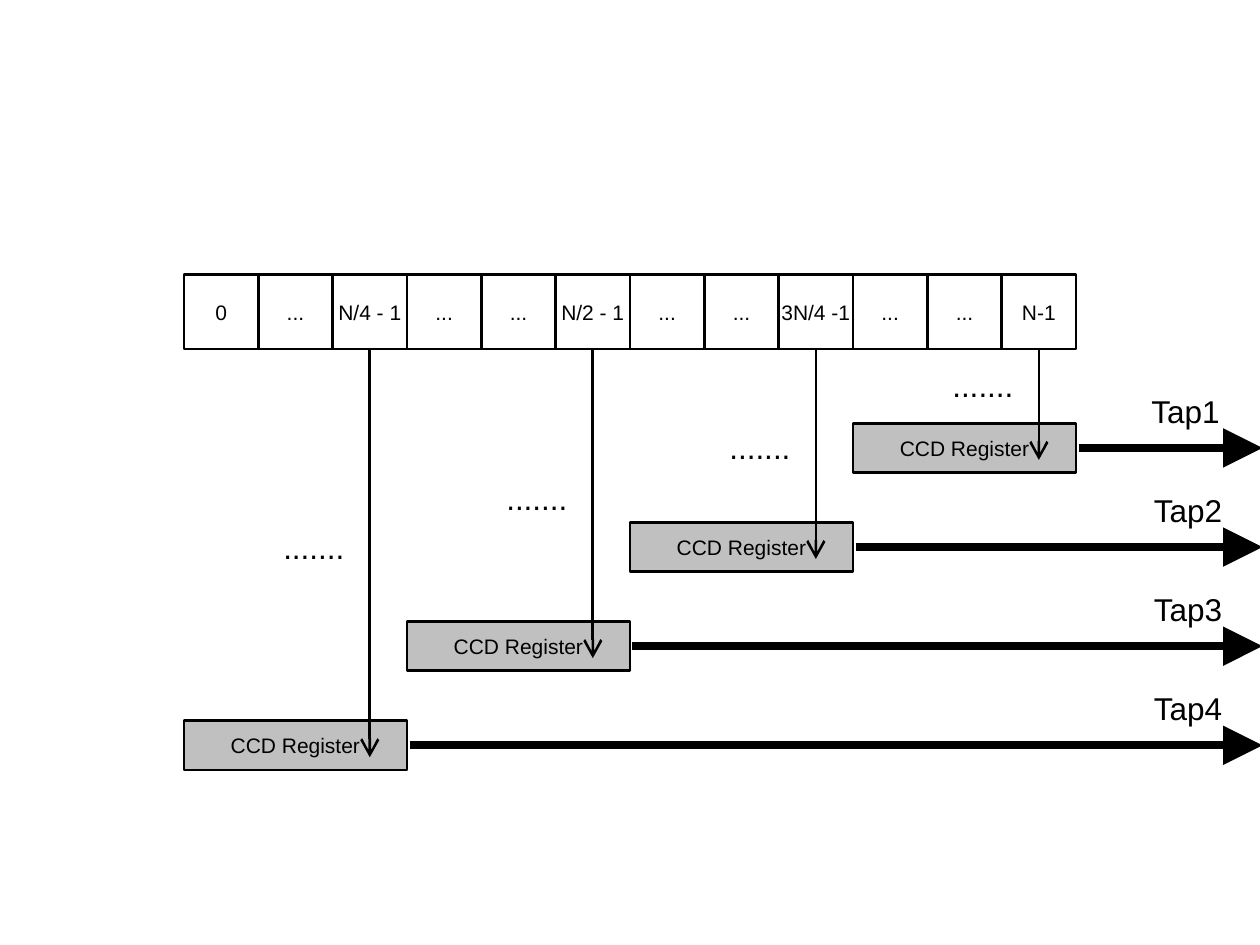
"""Build a slide showing a four-tap CCD line sensor readout."""
from lxml.etree import SubElement
from pptx import Presentation
from pptx.dml.color import RGBColor
from pptx.enum.shapes import MSO_CONNECTOR, MSO_SHAPE
from pptx.enum.text import MSO_ANCHOR as ANCHOR, MSO_AUTO_SIZE as AUTO, PP_ALIGN as ALIGN
from pptx.oxml.ns import qn
from pptx.util import Inches, Pt

BLACK = RGBColor(0x00, 0x00, 0x00)
GRAY = RGBColor(0xC0, 0xC0, 0xC0)

CELL = 0.59
LEFT, TOP = 1.46, 2.18
REGISTER_W, REGISTER_H = 3 * CELL, 0.39
REGISTER_TOP, STEP = 3.36, CELL * 4 / 3
ARROW_END = 10.02
PIXELS = ["0", "...", "N/4 - 1", "...", "...", "N/2 - 1",
          "...", "...", "3N/4 -1", "...", "...", "N-1"]
DOT_TOPS = [2.86, 3.35, 3.75, 4.14]
TAP_LEFTS = [9.04, 9.06, 9.06, 9.06]


def write(tf, text, size=12, align=ALIGN.LEFT, anchor=ANCHOR.TOP,
          wrap=False, auto=AUTO.NONE, before=0):
    tf.auto_size = auto
    tf.word_wrap = wrap
    tf.vertical_anchor = anchor
    p = tf.paragraphs[0]
    p.alignment = align
    p.space_before = Pt(before)
    r = p.add_run()
    r.text = text
    r.font.name = "Arial"
    r.font.size = Pt(size)
    r.font.color.rgb = BLACK


class Diagram:
    def __init__(self, slide, line_color=BLACK, line_width=1.5):
        self.s = slide
        self.line_color = line_color
        self.line_width = line_width

    def box(self, x, y, w, h, text, fill=None):
        sp = self.s.shapes.add_shape(
            MSO_SHAPE.RECTANGLE, Inches(x), Inches(y), Inches(w), Inches(h))
        sp.shadow.inherit = False
        if fill is None:
            sp.fill.background()
        else:
            sp.fill.solid()
            sp.fill.fore_color.rgb = fill
        sp.line.color.rgb = self.line_color
        sp.line.width = Pt(self.line_width)
        write(sp.text_frame, text, align=ALIGN.CENTER, anchor=ANCHOR.MIDDLE)

    def label(self, x, y, w, text, **fmt):
        sp = self.s.shapes.add_textbox(Inches(x), Inches(y), Inches(w), Inches(0.4))
        write(sp.text_frame, text, size=18, auto=AUTO.SHAPE_TO_FIT_TEXT, **fmt)

    def arrow(self, x1, y1, x2, y2, head="arrow", width=None):
        sp = self.s.shapes.add_connector(
            MSO_CONNECTOR.STRAIGHT, Inches(x1), Inches(y1), Inches(x2), Inches(y2))
        sp.line.color.rgb = self.line_color
        sp.line.width = Pt(width or self.line_width)
        SubElement(sp.line._get_or_add_ln(), qn("a:tailEnd"), type=head, w="lg", len="lg")
        SubElement(sp._element.spPr, qn("a:effectLst"))


def main():
    prs = Presentation()
    prs.slide_width, prs.slide_height = Inches(10), Inches(7.5)
    d = Diagram(prs.slides.add_slide(prs.slide_layouts[6]))

    for i, text in enumerate(PIXELS):
        d.box(LEFT + i * CELL, TOP, CELL, CELL, text)

    for i, (dot_top, tap_left) in enumerate(zip(DOT_TOPS, TAP_LEFTS)):
        x = LEFT + (3 - i) * REGISTER_W
        y = REGISTER_TOP + i * STEP
        shift_x = x + 2.5 * CELL
        tap_y = y + REGISTER_H / 2
        d.box(x, y, REGISTER_W, REGISTER_H, "CCD Register", fill=GRAY)
        d.arrow(shift_x, TOP + CELL, shift_x, y + 0.29)
        d.arrow(x + REGISTER_W + 0.02, tap_y, ARROW_END, tap_y, head="triangle", width=4.5)
        d.label(x + 0.69, dot_top, 0.7, ".......")
        d.label(tap_left, y - 0.3, 0.87, f"Tap{i + 1}", wrap=True, before=11.2)

    prs.save("out.pptx")


if __name__ == "__main__":
    main()
